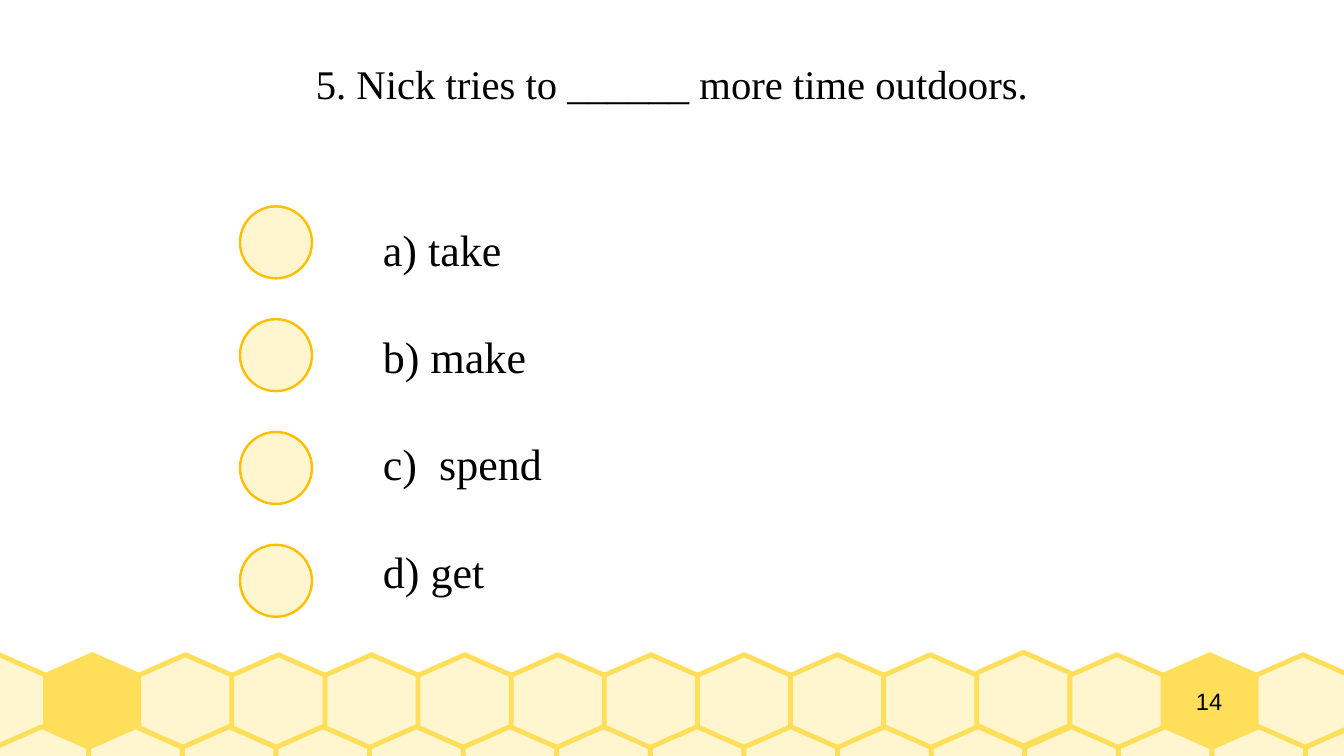
from dataclasses import dataclass

from pptx import Presentation
from pptx.dml.color import RGBColor as Rgb
from pptx.enum.shapes import MSO_SHAPE as Preset
from pptx.enum.text import MSO_ANCHOR as Anchor, PP_ALIGN as Align
from pptx.util import Cm, Pt


@dataclass(frozen=True)
class Theme:
    ink: str = "000000"
    cream: str = "FFF5CE"
    honey: str = "FFDE59"
    amber: str = "FFBF00"
    serif: str = "Times New Roman"
    sans: str = "Arial"
    question_size: int = 24
    answer_size: int = 26
    number_size: int = 14
    cell_line: float = 2.83
    marker_line: float = 1.42


THEME = Theme()
QUESTION = "5. Nick tries to ______ more time outdoors."
ANSWERS = ["a) take", "b) make", "c)  spend", "d) get"]
CELL_SIZE = 1.95
CELL_COUNT = 15
UPPER_TOP = 13.64
HONEY_COLUMNS = (1, 13)
RAISED_COLUMN = 11


def apply_format(target, values):
    for name, value in values.items():
        setattr(target, name, value)


def style_shape(shape, fill, line, width):
    shape.shadow.inherit = False
    shape.fill.solid()
    shape.fill.fore_color.rgb = Rgb.from_string(fill)
    shape.line.color.rgb = Rgb.from_string(line)
    shape.line.width = Pt(width)


def add_cell(slide, left, top, fill):
    middle, right = left + CELL_SIZE / 2, left + CELL_SIZE
    shoulder, hip = top + 0.43, top + 1.52
    corners = [(middle, top), (left, shoulder), (left, hip),
               (middle, top + CELL_SIZE), (right, hip), (right, shoulder)]
    points = [(Cm(x), Cm(y)) for x, y in corners]
    builder = slide.shapes.build_freeform(*points[0])
    builder.add_line_segments(points[1:], close=True)
    style_shape(builder.convert_to_shape(), fill, THEME.honey, THEME.cell_line)


def add_honeycomb(slide):
    for column in range(CELL_COUNT):
        top = UPPER_TOP - (0.05 if column == RAISED_COLUMN else 0)
        fill = THEME.honey if column in HONEY_COLUMNS else THEME.cream
        add_cell(slide, -0.99 + 1.94 * column, top, fill)
    for column in range(CELL_COUNT):
        add_cell(slide, -0.1 + CELL_SIZE * column, 15.14, THEME.cream)


def add_text(slide, box, lines, font, size, frame_format, paragraph_format):
    frame = slide.shapes.add_textbox(*map(Cm, box)).text_frame
    margins = {f"margin_{side}": 0 for side in ("left", "top", "right", "bottom")}
    apply_format(frame, {"word_wrap": True, **margins, **frame_format})
    frame.text = "\n".join(lines)
    for paragraph in frame.paragraphs:
        apply_format(paragraph, paragraph_format)
        for run in paragraph.runs:
            apply_format(run.font, {"name": font, "size": Pt(size)})
            run.font.color.rgb = Rgb.from_string(THEME.ink)


def add_markers(slide):
    for row in range(len(ANSWERS)):
        box = (5, 4.3 + 2.35 * row, 1.5, 1.5)
        marker = slide.shapes.add_shape(Preset.OVAL, *map(Cm, box))
        style_shape(marker, THEME.cream, THEME.amber, THEME.marker_line)


def main():
    presentation = Presentation()
    apply_format(presentation, {"slide_width": Cm(28), "slide_height": Cm(15.75)})
    slide = presentation.slides.add_slide(presentation.slide_layouts[6])
    middle = {"vertical_anchor": Anchor.MIDDLE}
    centred = {"alignment": Align.CENTER}

    add_honeycomb(slide)
    add_text(slide, (23.6, UPPER_TOP, 3.18, CELL_SIZE), ["14"],
             THEME.sans, THEME.number_size, middle, centred)
    add_text(slide, (1.5, 0.46, 25, 2.57), [QUESTION],
             THEME.serif, THEME.question_size, middle, centred)
    add_text(slide, (7.98, 4.5, 19, 8), ANSWERS,
             THEME.serif, THEME.answer_size,
             {"vertical_anchor": Anchor.TOP, "margin_top": Cm(0.13)},
             {"alignment": Align.LEFT, "space_after": Pt(32.2)})
    add_markers(slide)
    presentation.save("out.pptx")


main()
